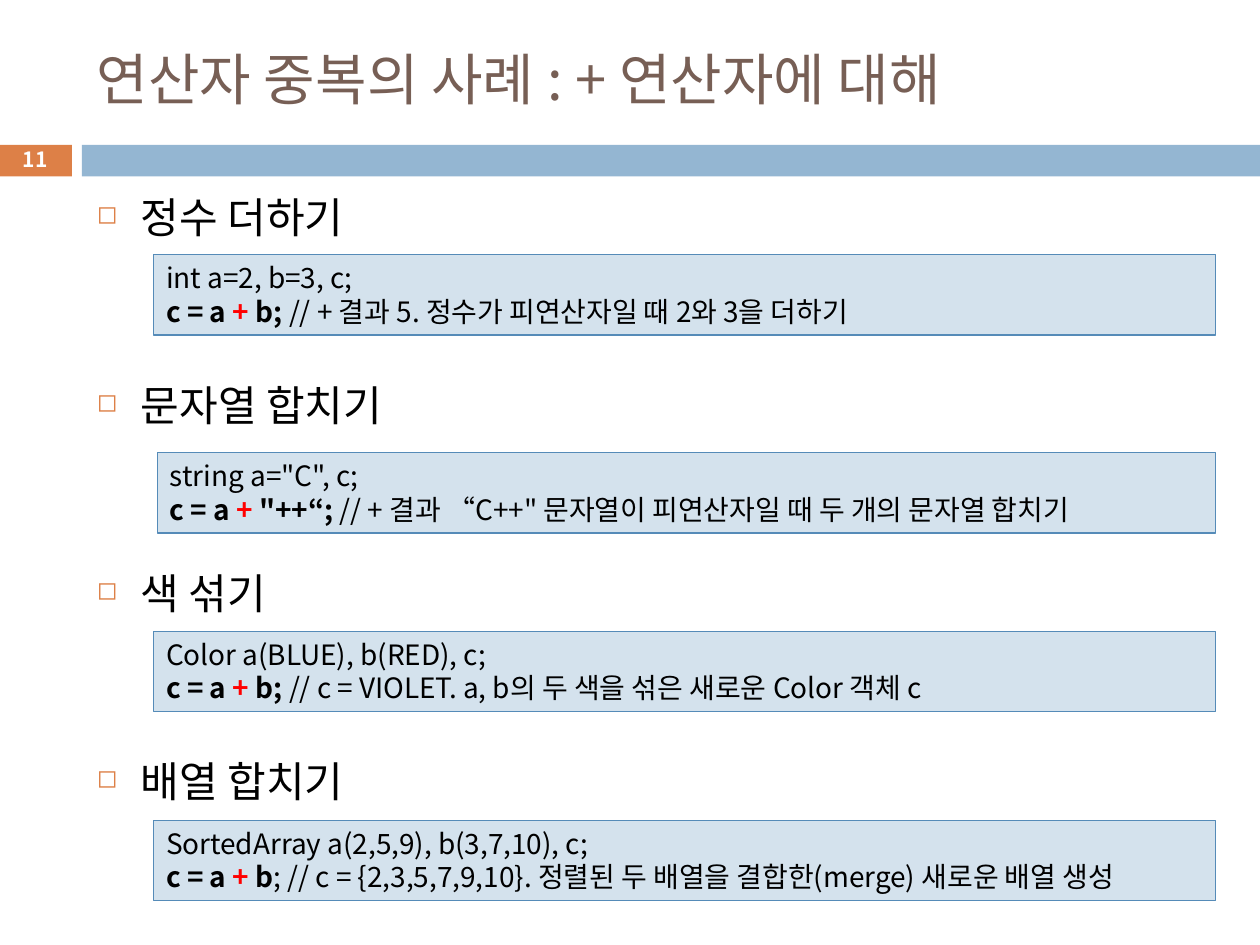
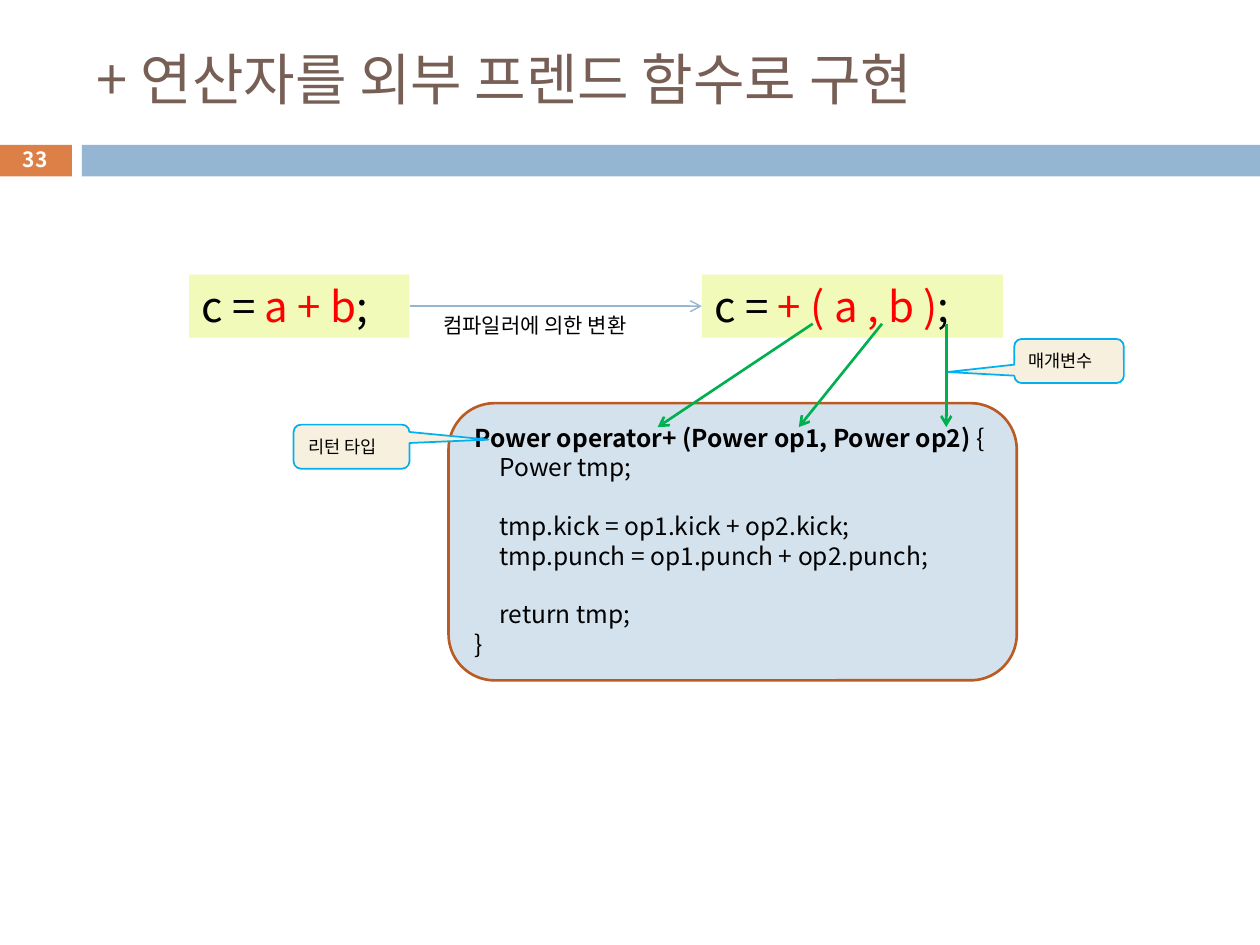
from dataclasses import dataclass
from typing import NamedTuple

from lxml.etree import SubElement
from pptx import Presentation
from pptx.dml.color import RGBColor
from pptx.enum.shapes import MSO_CONNECTOR, MSO_SHAPE
from pptx.enum.text import MSO_ANCHOR, PP_ALIGN
from pptx.oxml.ns import qn
from pptx.util import Emu, Pt

PX = 9144
FONT = "Noto Sans CJK KR"
BLACK, WHITE, RED = "000000", "FFFFFF", "FF0000"
BROWN, ORANGE, BLUE = "775F55", "DD8047", "94B6D2"
PALE, EDGE, RUST = "D4E2ED", "558BB8", "B95B22"
LIME, CREAM, SKY, GREEN = "F1FAB8", "F7F0DE", "00B0F0", "00B050"


class Box(NamedTuple):
    left: int
    top: int
    width: int
    height: int


class Run(NamedTuple):
    text: str
    color: str = BLACK
    bold: bool = False


@dataclass
class Para:
    runs: list[Run]
    before: float = 0
    indent: int = 0
    bullet: bool = False


@dataclass
class Style:
    size: float
    fill: str = ""
    line: str = ""
    width: float = 0.75
    middle: bool = False
    center: bool = False


@dataclass
class Sample:
    head: str
    box: Box
    setup: str
    call: list[Run]


@dataclass
class Callout:
    text: str
    box: Box
    tip: tuple[float, float]


class Arrow(NamedTuple):
    start: tuple[int, int]
    end: tuple[int, int]
    color: str = GREEN
    width: float = 1.5


TITLE = Style(32, middle=True)
PAGE = Style(12, middle=True, center=True)
HEAD = Style(24)
CODE = Style(16, PALE, EDGE)
BODY = Style(14, PALE, RUST, 1.5)
TERM = Style(24, LIME)
NOTE = Style(10, CREAM, SKY, 1, middle=True)
LABEL = Style(12)


def px(value: int) -> Emu:
    return Emu(value * PX)


def rgb(color: str) -> RGBColor:
    return RGBColor.from_string(color)


def mark(para, indent: int) -> None:
    props = para._p.get_or_add_pPr()
    props.set("marL", str(px(indent)))
    props.set("indent", str(-px(indent)))
    tint = SubElement(SubElement(props, qn("a:buClr")), qn("a:srgbClr"))
    tint.set("val", ORANGE)
    SubElement(props, qn("a:buSzPct")).set("val", "60000")
    SubElement(props, qn("a:buChar")).set("char", "◻")


def write(shape, paras: list[Para], style: Style) -> None:
    frame = shape.text_frame
    frame.word_wrap = True
    frame.vertical_anchor = MSO_ANCHOR.MIDDLE if style.middle else MSO_ANCHOR.TOP
    for index, item in enumerate(paras):
        para = frame.add_paragraph() if index else frame.paragraphs[0]
        para.alignment = PP_ALIGN.CENTER if style.center else PP_ALIGN.LEFT
        para.space_before = Pt(item.before)
        if item.bullet:
            mark(para, item.indent)
        elif item.indent:
            para._p.get_or_add_pPr().set("marL", str(px(item.indent)))
        for part in item.runs:
            run = para.add_run()
            run.text = part.text
            font = run.font
            font.name, font.size, font.bold = FONT, Pt(style.size), part.bold
            font.color.rgb = rgb(part.color)
            SubElement(run._r.get_or_add_rPr(), qn("a:ea")).set("typeface", FONT)


def label(slide, box: Box, paras: list[Para], style: Style) -> None:
    write(slide.shapes.add_textbox(*map(px, box)), paras, style)


def panel(slide, box: Box, paras: list[Para], style: Style,
          kind: MSO_SHAPE = MSO_SHAPE.RECTANGLE):
    shape = slide.shapes.add_shape(kind, *map(px, box))
    shape.shadow.inherit = False
    shape.fill.solid()
    shape.fill.fore_color.rgb = rgb(style.fill)
    if style.line:
        shape.line.color.rgb = rgb(style.line)
        shape.line.width = Pt(style.width)
    else:
        shape.line.fill.background()
    write(shape, paras, style)
    return shape


def point(slide, arrow: Arrow) -> None:
    ends = map(px, arrow.start + arrow.end)
    link = slide.shapes.add_connector(MSO_CONNECTOR.STRAIGHT, *ends)
    link.line.color.rgb = rgb(arrow.color)
    link.line.width = Pt(arrow.width)
    SubElement(link.line._get_or_add_ln(), qn("a:tailEnd")).set("type", "arrow")
    SubElement(link._element.spPr, qn("a:effectLst"))


def note(slide, item: Callout) -> None:
    shape = panel(slide, item.box, [Para([Run(item.text)])], NOTE,
                  MSO_SHAPE.ROUNDED_RECTANGULAR_CALLOUT)
    shape.adjustments[0], shape.adjustments[1] = item.tip


def start(deck, title: str, page: int):
    slide = deck.slides.add_slide(deck.slide_layouts[6])
    panel(slide, Box(-1, 115, 58, 25), [], Style(12, ORANGE))
    panel(slide, Box(65, 115, 935, 25), [], Style(12, BLUE))
    label(slide, Box(67, 25, 892, 74), [Para([Run(title, BROWN)])], TITLE)
    label(slide, Box(-1, 113, 58, 27), [Para([Run(str(page), WHITE, True)])], PAGE)
    return slide


def adding(left: str, plus: str, right: str, rest: str) -> list[Run]:
    return [Run(left, bold=True), Run(plus, RED, True),
            Run(right, bold=True), Run(rest)]


SAMPLES = [
    Sample("정수 더하기", Box(122, 202, 843, 64), "int a=2, b=3, c;",
           adding("c = a ", "+ ", "b; ",
                  "// + 결과 5. 정수가 피연산자일 때 2와 3을 더하기")),
    Sample("문자열 합치기", Box(125, 359, 840, 64), 'string a="C", c;',
           adding("c = a ", "+ ", '"++“; ',
                  '// + 결과 “C++" 문자열이 피연산자일 때 두 개의 문자열 합치기')),
    Sample("색 섞기", Box(122, 501, 843, 64), "Color a(BLUE), b(RED), c;",
           adding("c = a ", "+", " b; ",
                  "// c = VIOLET. a, b의 두 색을 섞은 새로운 Color 객체 c")),
    Sample("배열 합치기", Box(122, 651, 843, 64),
           "SortedArray a(2,5,9), b(3,7,10), c;",
           adding("c = a ", "+", " b",
                  "; // c = {2,3,5,7,9,10}. 정렬된 두 배열을 결합한(merge) "
                  "새로운 배열 생성")),
]

POWER = [
    Para([Run("Power operator+ (Power op1, Power op2) ", bold=True), Run("{")]),
    Para([Run("Power tmp;")], indent=20),
    Para([Run("tmp.kick = op1.kick + op2.kick;")], before=16.8, indent=20),
    Para([Run("tmp.punch = op1.punch + op2.punch;")], indent=20),
    Para([Run("return tmp;")], before=16.8, indent=20),
    Para([Run("}")]),
]

TERMS = [
    (Box(150, 218, 175, 50), "a + b"),
    (Box(557, 218, 239, 50), "+ ( a , b )"),
]

NOTES = [
    Callout("리턴 타입", Box(233, 337, 92, 35), (1.18, -0.16)),
    Callout("매개변수", Box(805, 269, 87, 35), (-1.11, 0.25)),
]

ARROWS = [
    Arrow((325, 243), (557, 243), BLUE, 0.79),
    *(Arrow((top, 257), (foot, 339))
      for top, foot in ((645, 522), (700, 634), (751, 751))),
]


def cases(deck) -> None:
    slide = start(deck, "연산자 중복의 사례 : + 연산자에 대해", 11)
    heads = [Para([Run(item.head)], 78.6 if index else 7, 35, True)
             for index, item in enumerate(SAMPLES)]
    label(slide, Box(67, 147, 892, 551), heads, HEAD)
    for item in SAMPLES:
        panel(slide, item.box, [Para([Run(item.setup)]), Para(item.call)], CODE)


def friend(deck) -> None:
    slide = start(deck, "+ 연산자를 외부 프렌드 함수로 구현", 33)
    panel(slide, Box(356, 320, 451, 220), POWER, BODY, MSO_SHAPE.ROUNDED_RECTANGLE)
    for box, term in TERMS:
        panel(slide, box, [Para([Run("c = "), Run(term, RED), Run(";")])], TERM)
    for item in NOTES:
        note(slide, item)
    for arrow in ARROWS:
        point(slide, arrow)
    label(slide, Box(342, 243, 206, 30), [Para([Run("컴파일러에 의한 변환")])], LABEL)


def main() -> None:
    deck = Presentation()
    deck.slide_width, deck.slide_height = px(1000), px(750)
    cases(deck)
    friend(deck)
    deck.save("out.pptx")


if __name__ == "__main__":
    main()
